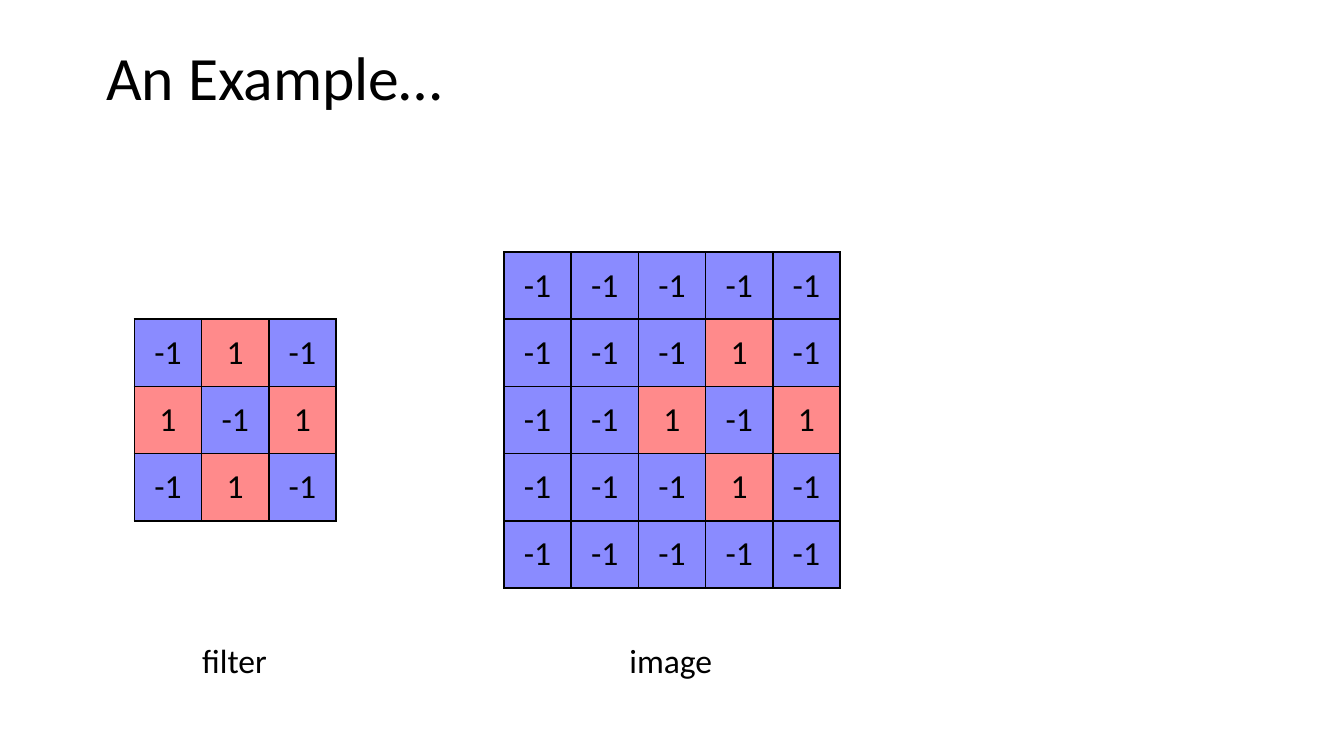
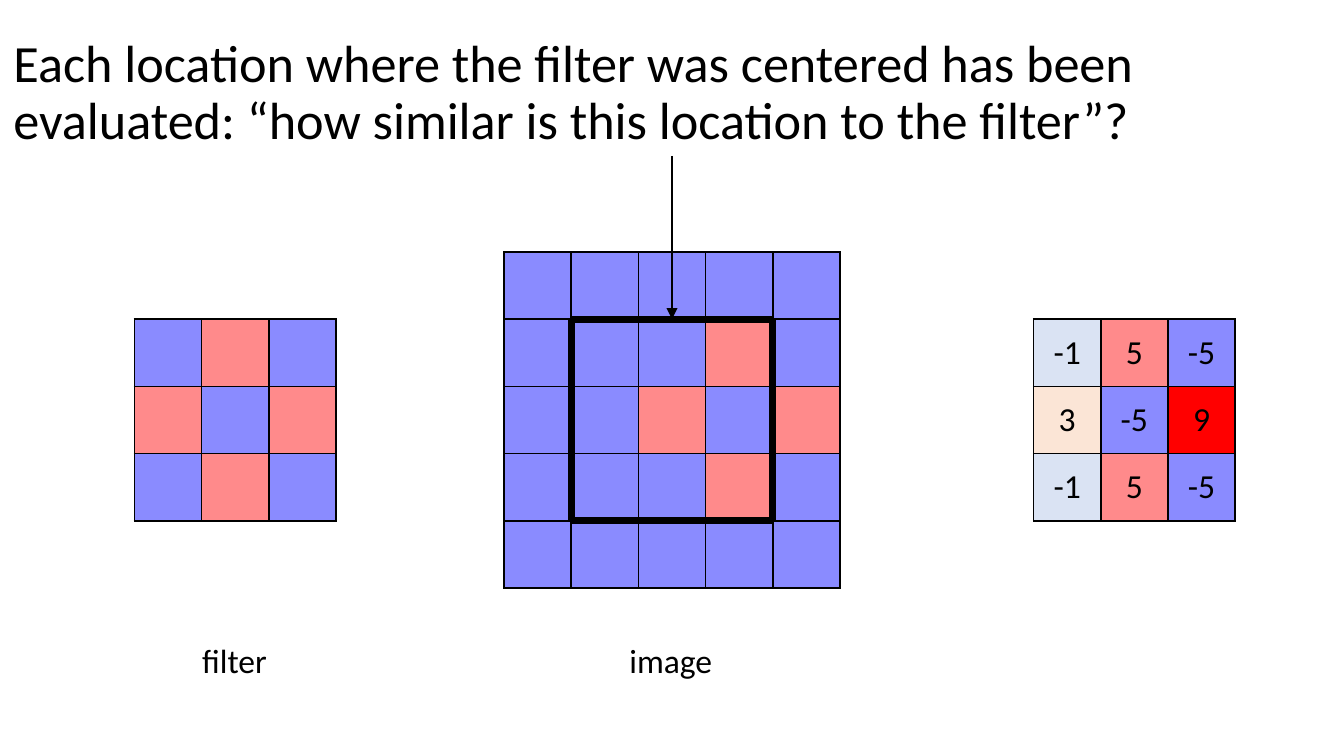
from dataclasses import dataclass, field
from typing import Optional

from lxml.etree import SubElement
from pptx import Presentation
from pptx.dml.color import RGBColor
from pptx.enum.shapes import MSO_CONNECTOR as Connector
from pptx.enum.text import MSO_ANCHOR as Anchor
from pptx.enum.text import MSO_AUTO_SIZE as AutoSize
from pptx.enum.text import PP_ALIGN as Align
from pptx.oxml.ns import qn
from pptx.util import Inches, Length, Pt

Matrix = list[list[int]]


@dataclass(frozen=True)
class Theme:
    font: str = "Calibri"
    ink: str = "000000"
    low: str = "8A8BFF"
    high: str = "FF8A8B"
    slightly_low: str = "DAE3F3"
    slightly_high: str = "FBE5D6"
    best: str = "FF0000"
    body_size: float = 18
    title_size: float = 33
    sentence_size: float = 28
    thin: float = 1
    arrow: float = 1.5
    thick: float = 4.5


THEME = Theme()
UNIT = 0.5  # inches per grid column and row; one matrix cell fills one unit
COLUMNS, ROWS = 20, 11.25
TITLE_ONLY = 5

PIXEL_COLORS = {-1: THEME.low, 1: THEME.high}
RESPONSE_COLORS = {
    -5: THEME.low,
    -1: THEME.slightly_low,
    3: THEME.slightly_high,
    5: THEME.high,
    9: THEME.best,
}
FILTER_VALUES = [[-1, 1, -1], [1, -1, 1], [-1, 1, -1]]
IMAGE_VALUES = [
    [-1, -1, -1, -1, -1],
    [-1, -1, -1, 1, -1],
    [-1, -1, 1, -1, 1],
    [-1, -1, -1, 1, -1],
    [-1, -1, -1, -1, -1],
]
RESPONSE_VALUES = [[-1, 5, -5], [3, -5, 9], [-1, 5, -5]]
NEIGHBOURS = {"lnL": (0, -1), "lnR": (0, 1), "lnT": (-1, 0), "lnB": (1, 0)}


@dataclass(frozen=True)
class Box:
    """A rectangle in grid columns and rows."""

    column: float
    row: float
    columns: float
    rows: float

    def contains(self, row: int, column: int) -> bool:
        return (
            self.row <= row < self.row + self.rows
            and self.column <= column < self.column + self.columns
        )

    def lengths(self) -> tuple[Length, ...]:
        return tuple(map(grid, (self.column, self.row, self.columns, self.rows)))


@dataclass(frozen=True)
class MatrixTable:
    values: Matrix
    column: float
    colors: dict[int, str] = field(default_factory=lambda: PIXEL_COLORS)
    show_values: bool = True
    focus: Optional[Box] = None  # cells inside the thick frame
    middle_row: float = 6.25

    @property
    def box(self) -> Box:
        rows, columns = len(self.values), len(self.values[0])
        return Box(self.column, self.middle_row - rows / 2, columns, rows)


@dataclass(frozen=True)
class Caption:
    text: str
    middle_column: float
    columns: float


CAPTIONS = [Caption("filter", 3.5, 1.38), Caption("image", 10, 1.66)]
FILTER_COLUMN, IMAGE_COLUMN, RESPONSE_COLUMN = 2, 7.5, 15.38
FOCUS = Box(1, 1, 3, 3)


def grid(units: float) -> Length:
    return Inches(units * UNIT)


def add_run(paragraph, text: str, size: float = THEME.body_size) -> None:
    run = paragraph.add_run()
    run.text = text
    run.font.name = THEME.font
    run.font.size = Pt(size)
    run.font.color.rgb = RGBColor.from_string(THEME.ink)


def set_title(slide, text: str, box: Box, size: float) -> None:
    title = slide.shapes.title
    title.left, title.top, title.width, title.height = box.lengths()
    frame = title.text_frame
    frame.auto_size = AutoSize.NONE
    frame.word_wrap = True
    frame.vertical_anchor = Anchor.TOP
    paragraph = frame.paragraphs[0]
    paragraph.alignment = Align.LEFT
    paragraph.line_spacing = 0.9
    add_run(paragraph, text, size)


def set_border(cell, side: str, points: float) -> None:
    properties = cell._tc.get_or_add_tcPr()
    line = SubElement(properties, qn(f"a:{side}"), w=str(Pt(points)))
    fill = SubElement(line, qn("a:solidFill"))
    SubElement(fill, qn("a:srgbClr"), val=THEME.ink)


def border_width(focus: Optional[Box], row: int, column: int, side: str) -> float:
    """Thick where a cell edge separates the focus from the rest."""
    down, right = NEIGHBOURS[side]
    if focus and focus.contains(row, column) != focus.contains(row + down, column + right):
        return THEME.thick
    return THEME.thin


def add_matrix(slide, matrix: MatrixTable) -> None:
    box = matrix.box
    table = slide.shapes.add_table(box.rows, box.columns, *box.lengths()).table
    table.first_row = table.horz_banding = False
    for line in (*table.columns, ):
        line.width = grid(1)
    for line in table.rows:
        line.height = grid(1)
    for row, values in enumerate(matrix.values):
        for column, value in enumerate(values):
            cell = table.cell(row, column)
            for side in NEIGHBOURS:
                set_border(cell, side, border_width(matrix.focus, row, column, side))
            cell.fill.solid()
            cell.fill.fore_color.rgb = RGBColor.from_string(matrix.colors[value])
            if matrix.show_values:
                cell.vertical_anchor = Anchor.MIDDLE
                paragraph = cell.text_frame.paragraphs[0]
                paragraph.alignment = Align.CENTER
                add_run(paragraph, str(value))


def add_caption(slide, caption: Caption) -> None:
    left = caption.middle_column - caption.columns / 2
    box = Box(left, 9.42, caption.columns, 0.8)
    frame = slide.shapes.add_textbox(*box.lengths()).text_frame
    frame.word_wrap = False
    frame.auto_size = AutoSize.SHAPE_TO_FIT_TEXT
    add_run(frame.paragraphs[0], caption.text)


def add_down_arrow(slide, column: float, top: float, bottom: float) -> None:
    arrow = slide.shapes.add_connector(
        Connector.STRAIGHT, grid(column), grid(top), grid(column), grid(bottom)
    )
    arrow.line.color.rgb = RGBColor.from_string(THEME.ink)
    arrow.line.width = Pt(THEME.arrow)
    SubElement(arrow.line._get_or_add_ln(), qn("a:tailEnd"), type="triangle")
    SubElement(arrow._element.spPr, qn("a:effectLst"))


def add_slide(presentation, title: str, box: Box, size: float, matrices: list[MatrixTable]):
    slide = presentation.slides.add_slide(presentation.slide_layouts[TITLE_ONLY])
    set_title(slide, title, box, size)
    for matrix in matrices:
        add_matrix(slide, matrix)
    for caption in CAPTIONS:
        add_caption(slide, caption)
    return slide


def main() -> None:
    presentation = Presentation()
    presentation.slide_width = grid(COLUMNS)
    presentation.slide_height = grid(ROWS)

    add_slide(
        presentation,
        "An Example…",
        Box(1.38, 0.6, 17.24, 2.18),
        THEME.title_size,
        [
            MatrixTable(FILTER_VALUES, FILTER_COLUMN),
            MatrixTable(IMAGE_VALUES, IMAGE_COLUMN),
        ],
    )

    evaluation = add_slide(
        presentation,
        "Each location where the filter was centered has been evaluated: "
        "“how similar is this location to the filter”?",
        Box(0, 0.46, COLUMNS, 1.88),
        THEME.sentence_size,
        [
            MatrixTable(FILTER_VALUES, FILTER_COLUMN, show_values=False),
            MatrixTable(RESPONSE_VALUES, RESPONSE_COLUMN, RESPONSE_COLORS),
            MatrixTable(IMAGE_VALUES, IMAGE_COLUMN, show_values=False, focus=FOCUS),
        ],
    )
    add_down_arrow(evaluation, COLUMNS / 2, 2.32, 4.75)

    presentation.save("out.pptx")


if __name__ == "__main__":
    main()
